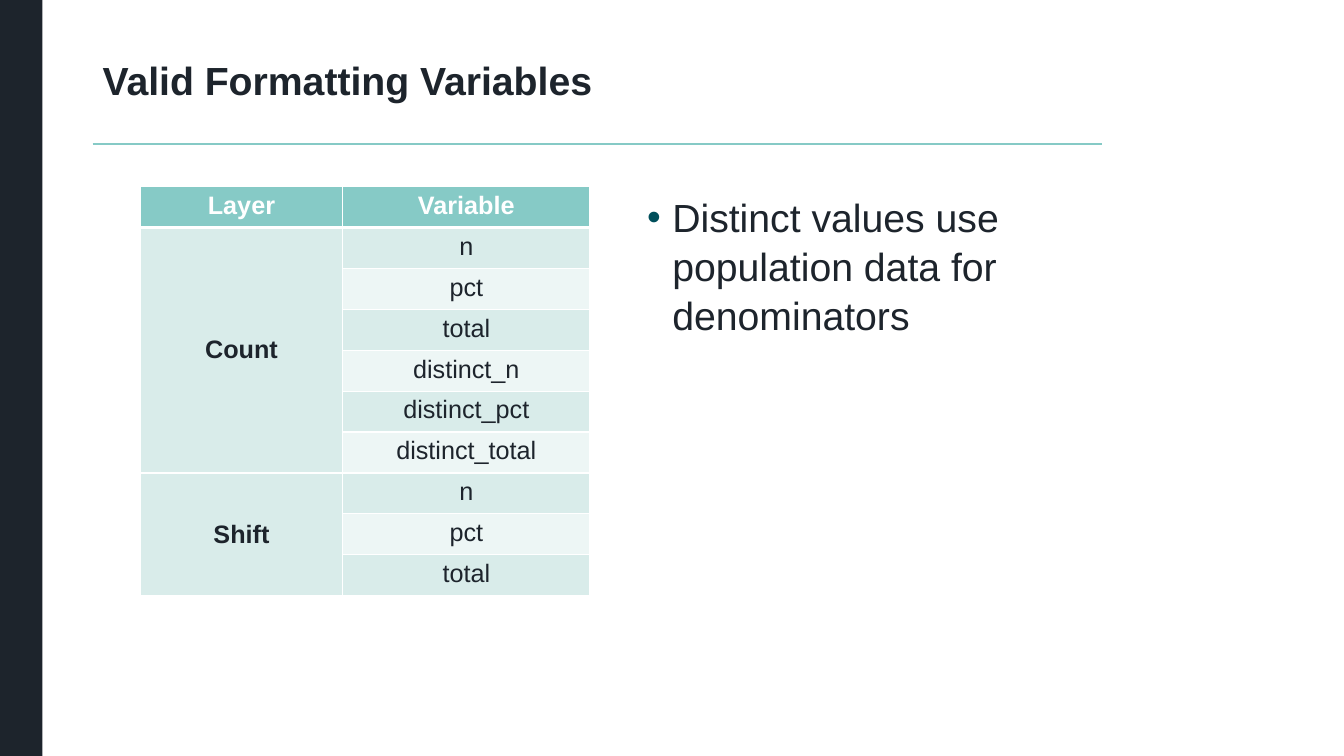
import dataclasses

import lxml.etree
import pptx
import pptx.dml.color
import pptx.enum.shapes
import pptx.enum.text
import pptx.oxml.ns
import pptx.presentation
import pptx.shapes.autoshape
import pptx.slide
import pptx.table
import pptx.text.text
import pptx.util

RGBColor = pptx.dml.color.RGBColor
NAVY = RGBColor(0x1D, 0x24, 0x2C)
TEAL = RGBColor(0x86, 0xCA, 0xC6)
DARK_TEAL = RGBColor(0x00, 0x4F, 0x5B)
BAND = RGBColor(0xD9, 0xEC, 0xEA)
LIGHT_BAND = RGBColor(0xED, 0xF6, 0xF5)
WHITE = RGBColor(0xFF, 0xFF, 0xFF)

SLIDE_WIDTH = pptx.util.Inches(13.33)
SLIDE_HEIGHT = pptx.util.Inches(7.5)
FONT_NAME = "Arial"
HEADERS = ("Layer", "Variable")
COLUMN_SHARES = (15.08, 18.38)


@dataclasses.dataclass(frozen=True)
class Area:
    """A rectangle in percent of the slide's width and height."""
    left: float
    top: float
    width: float
    height: float

    def lengths(self) -> tuple[int, int, int, int]:
        return (across(self.left), down(self.top), across(self.width), down(self.height))


@dataclasses.dataclass(frozen=True)
class Layer:
    name: str
    variables: tuple[str, ...]


@dataclasses.dataclass(frozen=True)
class TextStyle:
    size: float
    color: RGBColor
    bold: bool = False


SIDEBAR = Area(0, 0, 3.15, 100)
TITLE = Area(6.9, 7.07, 74.02, 7.73)
RULE = Area(6.9, 19.07, 75.1, 0)
TABLE = Area(10.43, 24.67, sum(COLUMN_SHARES), 54.13)
NOTE = Area(47.41, 24.67, 33.46, 65.33)

LAYERS = (
    Layer("Count", ("n", "pct", "total", "distinct_n", "distinct_pct", "distinct_total")),
    Layer("Shift", ("n", "pct", "total")),
)

TITLE_STYLE = TextStyle(28, NAVY, bold=True)
NOTE_STYLE = TextStyle(28, NAVY)
HEADER_STYLE = TextStyle(18, WHITE, bold=True)
LAYER_STYLE = TextStyle(18, NAVY, bold=True)
VARIABLE_STYLE = TextStyle(18, NAVY)


def across(percent: float) -> int:
    return round(SLIDE_WIDTH * percent / 100)


def down(percent: float) -> int:
    return round(SLIDE_HEIGHT * percent / 100)


def add_run(paragraph: pptx.text.text._Paragraph, text: str, style: TextStyle) -> None:
    run = paragraph.add_run()
    run.text = text
    run.font.name = FONT_NAME
    run.font.size = pptx.util.Pt(style.size)
    run.font.bold = style.bold
    run.font.color.rgb = style.color


def add_sidebar(slide: pptx.slide.Slide) -> None:
    sidebar = slide.shapes.add_shape(
        pptx.enum.shapes.MSO_SHAPE.RECTANGLE, *SIDEBAR.lengths())
    sidebar.shadow.inherit = False
    sidebar.fill.solid()
    sidebar.fill.fore_color.rgb = NAVY
    sidebar.line.fill.background()


def add_rule(slide: pptx.slide.Slide) -> None:
    left, top, width, height = RULE.lengths()
    rule = slide.shapes.add_connector(
        pptx.enum.shapes.MSO_CONNECTOR.STRAIGHT, left, top, left + width, top + height)
    rule.line.color.rgb = TEAL
    rule.line.width = pptx.util.Pt(1)
    lxml.etree.SubElement(rule._element.spPr, pptx.oxml.ns.qn("a:effectLst"))


def add_text(slide: pptx.slide.Slide, area: Area, text: str, style: TextStyle,
             anchor: pptx.enum.text.MSO_ANCHOR,
             line_spacing: float) -> pptx.text.text._Paragraph:
    text_frame = slide.shapes.add_textbox(*area.lengths()).text_frame
    text_frame.word_wrap = True
    text_frame.vertical_anchor = anchor
    paragraph = text_frame.paragraphs[0]
    paragraph.line_spacing = line_spacing
    add_run(paragraph, text, style)
    return paragraph


def add_bullet(paragraph: pptx.text.text._Paragraph, color: RGBColor) -> None:
    properties = paragraph._p.get_or_add_pPr()
    indent = pptx.util.Inches(0.25)
    properties.set("marL", str(indent))
    properties.set("indent", str(-indent))
    qn = pptx.oxml.ns.qn
    bullet_color = lxml.etree.SubElement(properties, qn("a:buClr"))
    lxml.etree.SubElement(bullet_color, qn("a:srgbClr"), val=str(color))
    lxml.etree.SubElement(properties, qn("a:buFont"), typeface=FONT_NAME)
    lxml.etree.SubElement(properties, qn("a:buChar"), char="•")


def style_cell(cell: pptx.table._Cell, fill: RGBColor, bottom_width: float = 1) -> None:
    """Fill the cell and give it white borders."""
    cell.fill.solid()
    cell.fill.fore_color.rgb = fill
    properties = cell._tc.get_or_add_tcPr()
    qn = pptx.oxml.ns.qn
    widths = {"a:lnL": 1, "a:lnR": 1, "a:lnT": 1, "a:lnB": bottom_width}
    for position, (side, width) in enumerate(widths.items()):
        border = lxml.etree.Element(qn(side), w=str(pptx.util.Pt(width)))
        border_fill = lxml.etree.SubElement(border, qn("a:solidFill"))
        lxml.etree.SubElement(border_fill, qn("a:srgbClr"), val=str(WHITE))
        properties.insert(position, border)


def write_cell(cell: pptx.table._Cell, text: str, style: TextStyle) -> None:
    paragraph = cell.text_frame.paragraphs[0]
    paragraph.alignment = pptx.enum.text.PP_ALIGN.CENTER
    add_run(paragraph, text, style)


def add_variable_table(slide: pptx.slide.Slide) -> None:
    row_count = 1 + sum(len(layer.variables) for layer in LAYERS)
    table = slide.shapes.add_table(row_count, len(HEADERS), *TABLE.lengths()).table
    for column, share in zip(table.columns, COLUMN_SHARES):
        column.width = across(share)
    for row in table.rows:
        row.height = down(TABLE.height / row_count)

    for column_index, header in enumerate(HEADERS):
        cell = table.cell(0, column_index)
        style_cell(cell, TEAL, bottom_width=3)
        write_cell(cell, header, HEADER_STYLE)

    first_row = 1
    for layer in LAYERS:
        for row_index, variable in enumerate(layer.variables, first_row):
            style_cell(table.cell(row_index, 0), BAND)
            cell = table.cell(row_index, 1)
            style_cell(cell, BAND if row_index % 2 else LIGHT_BAND)
            write_cell(cell, variable, VARIABLE_STYLE)
        layer_cell = table.cell(first_row, 0)
        first_row += len(layer.variables)
        layer_cell.merge(table.cell(first_row - 1, 0))
        layer_cell.vertical_anchor = pptx.enum.text.MSO_ANCHOR.MIDDLE
        write_cell(layer_cell, layer.name, LAYER_STYLE)


def main() -> None:
    presentation = pptx.Presentation()
    presentation.slide_width = SLIDE_WIDTH
    presentation.slide_height = SLIDE_HEIGHT
    slide = presentation.slides.add_slide(presentation.slide_layouts[6])
    add_sidebar(slide)
    add_rule(slide)
    add_text(slide, TITLE, "Valid Formatting Variables", TITLE_STYLE,
             pptx.enum.text.MSO_ANCHOR.MIDDLE, line_spacing=0.9)
    add_variable_table(slide)
    note = add_text(slide, NOTE, "Distinct values use population data for denominators",
                    NOTE_STYLE, pptx.enum.text.MSO_ANCHOR.TOP, line_spacing=1.04)
    note.space_before = pptx.util.Pt(16)
    add_bullet(note, DARK_TEAL)
    presentation.save("out.pptx")


if __name__ == "__main__":
    main()
